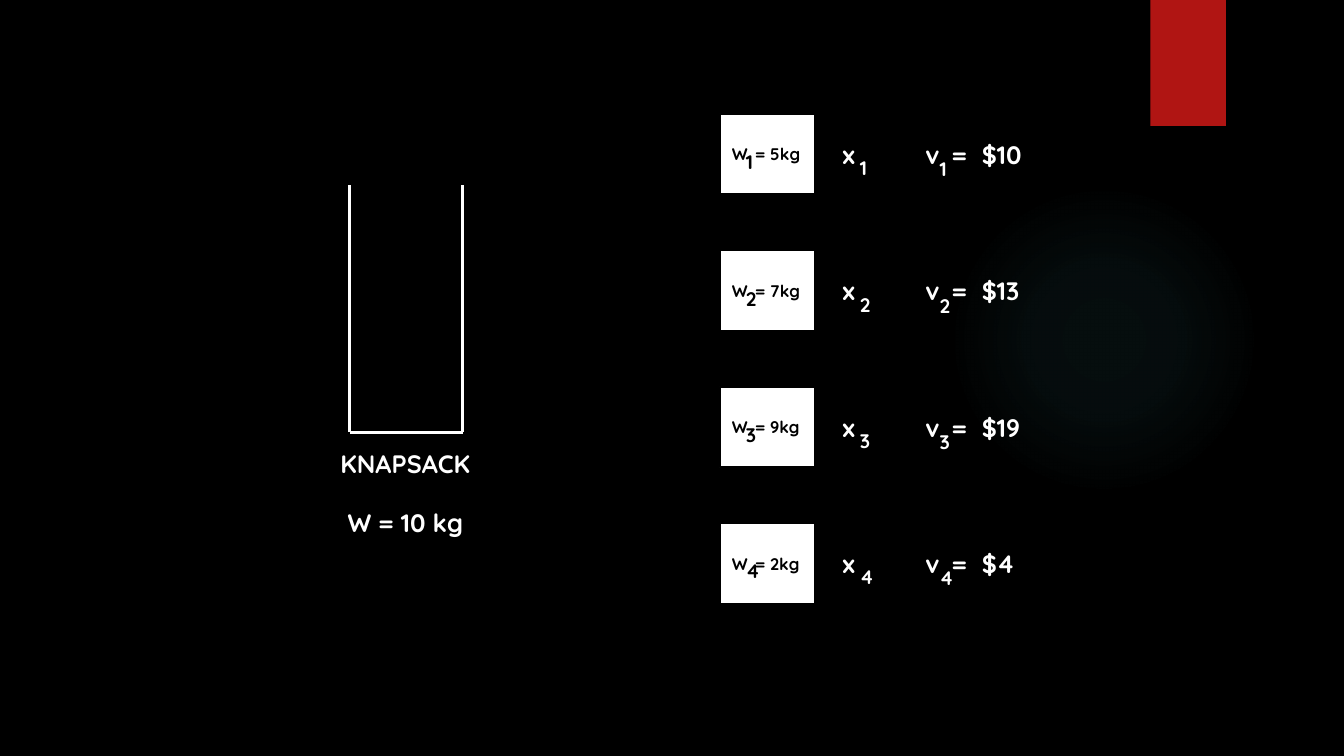
import dataclasses

import lxml.etree
import pptx
import pptx.dml.color
import pptx.enum.shapes
import pptx.enum.text
import pptx.oxml
import pptx.oxml.ns
import pptx.util

Inches = pptx.util.Inches
Pt = pptx.util.Pt
qn = pptx.oxml.ns.qn
SHAPE = pptx.enum.shapes.MSO_SHAPE
ALIGN = pptx.enum.text.PP_ALIGN
ANCHOR = pptx.enum.text.MSO_ANCHOR


@dataclasses.dataclass(frozen=True)
class Theme:
    font: str = "Quicksand"
    black: str = "000000"
    white: str = "FFFFFF"
    red: str = "B01513"
    glow: str = "50B9C1"
    label_size: int = 18
    index_size: int = 14
    weight_size: int = 12


THEME = Theme()
ITEMS = [("5kg", "$10"), ("7kg", "$13"), ("9kg", "$19"), ("2kg", "$4")]


def rgb(color):
    return pptx.dml.color.RGBColor.from_string(color)


def add_run(paragraph, text, size, color):
    run = paragraph.add_run()
    run.text = text
    run.font.name = THEME.font
    run.font.size = Pt(size)
    run.font.bold = True
    run.font.color.rgb = rgb(color)


def set_tabs(paragraph, stops):
    """Add left tab stops, given in inches from the text edge."""
    properties = paragraph._p.get_or_add_pPr()
    tab_list = lxml.etree.SubElement(properties, qn("a:tabLst"))
    for stop in stops:
        lxml.etree.SubElement(tab_list, qn("a:tab"), pos=str(Inches(stop)), algn="l")


def add_text_box(slide, left, top, width, height, wrap=False):
    box = slide.shapes.add_textbox(Inches(left), Inches(top), Inches(width), Inches(height))
    box.text_frame.word_wrap = wrap
    return box.text_frame


def add_block(slide, kind, left, top, width, height, fill=None):
    shape = slide.shapes.add_shape(
        kind, Inches(left), Inches(top), Inches(width), Inches(height))
    shape.shadow.inherit = False
    shape.line.fill.background()
    if fill:
        shape.fill.solid()
        shape.fill.fore_color.rgb = rgb(fill)
    return shape


def add_line(slide, start, end):
    line = slide.shapes.add_connector(
        pptx.enum.shapes.MSO_CONNECTOR.STRAIGHT, *map(Inches, start + end))
    line.line.color.rgb = rgb(THEME.white)
    line.line.width = Pt(2.25)
    lxml.etree.SubElement(line._element.spPr, qn("a:effectLst"))


def add_backdrop(slide):
    slide.background.fill.solid()
    slide.background.fill.fore_color.rgb = rgb(THEME.black)

    # Soft round glow that fades outwards
    glow = add_block(slide, SHAPE.OVAL, 9.41, 1.83, 3.08, 3.08)
    stops = "".join(
        f'<a:gs pos="{position * 1000}"><a:srgbClr val="{THEME.glow}">'
        f'<a:alpha val="{alpha * 1000}"/></a:srgbClr></a:gs>'
        for position, alpha in [(0, 7), (36, 6), (69, 0)])
    gradient = pptx.oxml.parse_xml(
        f'<a:gradFill {pptx.oxml.ns.nsdecls("a")}><a:gsLst>{stops}</a:gsLst>'
        '<a:path path="circle">'
        '<a:fillToRect l="50000" t="50000" r="50000" b="50000"/></a:path></a:gradFill>')
    glow._element.spPr.find(qn("a:prstGeom")).addnext(gradient)

    # Red ribbon
    add_block(slide, SHAPE.RECTANGLE, 11.41, 0, 0.75, 1.25, THEME.red)


def add_knapsack(slide, left, top, width, height):
    # Open-topped container
    right, bottom = left + width, top + height
    corners = [(left, top), (left, bottom), (right, bottom), (right, top)]
    for start, end in zip(corners, corners[1:]):
        add_line(slide, start, end)

    # Name and capacity
    caption_width = 1.54
    frame = add_text_box(
        slide, left + (width - caption_width) / 2 - 0.01, bottom + 0.11, caption_width, 1.01)
    name = frame.paragraphs[0]
    capacity = frame.add_paragraph()
    capacity.space_before = Pt(20.5)
    for paragraph, text in [(name, "KNAPSACK"), (capacity, "W = 10 kg")]:
        paragraph.alignment = ALIGN.CENTER
        add_run(paragraph, text, THEME.label_size, THEME.white)


def add_item(slide, left, top, width, height, index, weight, value):
    # Weight block
    block = add_block(slide, SHAPE.RECTANGLE, left, top, width, height, THEME.white)
    block.line.color.rgb = rgb(THEME.black)
    block.line.width = Pt(1.5)
    frame = block.text_frame
    frame.margin_left, frame.margin_right = Inches(0.12), 0
    frame.vertical_anchor = ANCHOR.MIDDLE
    paragraph = frame.paragraphs[0]
    paragraph.alignment = ALIGN.LEFT
    set_tabs(paragraph, [0.23])
    add_run(paragraph, f"W\t= {weight}", THEME.weight_size, THEME.black)

    # Choice variable and value
    frame = add_text_box(slide, left + 1.12, top + 0.2, 2.21, 0.4, wrap=True)
    paragraph = frame.paragraphs[0]
    set_tabs(paragraph, [0.82, 1.08, 1.38])
    add_run(paragraph, f"x\tv\t=\t{value}", THEME.label_size, THEME.white)

    # Lowered index beside w, x and v
    for offset_x, offset_y, color in [(0.16, 0.31, THEME.black),
                                      (1.29, 0.37, THEME.white),
                                      (2.08, 0.38, THEME.white)]:
        frame = add_text_box(slide, left + offset_x, top + offset_y, 0.31, 0.34)
        add_run(frame.paragraphs[0], str(index), THEME.index_size, color)


def add_items(slide, left, top, height):
    block_width, block_height = 0.94, 0.8
    pitch = (height - block_height) / (len(ITEMS) - 1)
    for row, (weight, value) in enumerate(ITEMS):
        add_item(slide, left, top + row * pitch, block_width, block_height,
                 row + 1, weight, value)


def main():
    presentation = pptx.Presentation()
    presentation.slide_width = Inches(13.33)
    presentation.slide_height = Inches(7.5)
    slide = presentation.slides.add_slide(presentation.slide_layouts[6])
    add_backdrop(slide)
    add_knapsack(slide, 3.47, 1.84, 1.12, 2.45)
    add_items(slide, 7.14, 1.13, 4.86)
    presentation.save("out.pptx")


if __name__ == "__main__":
    main()
